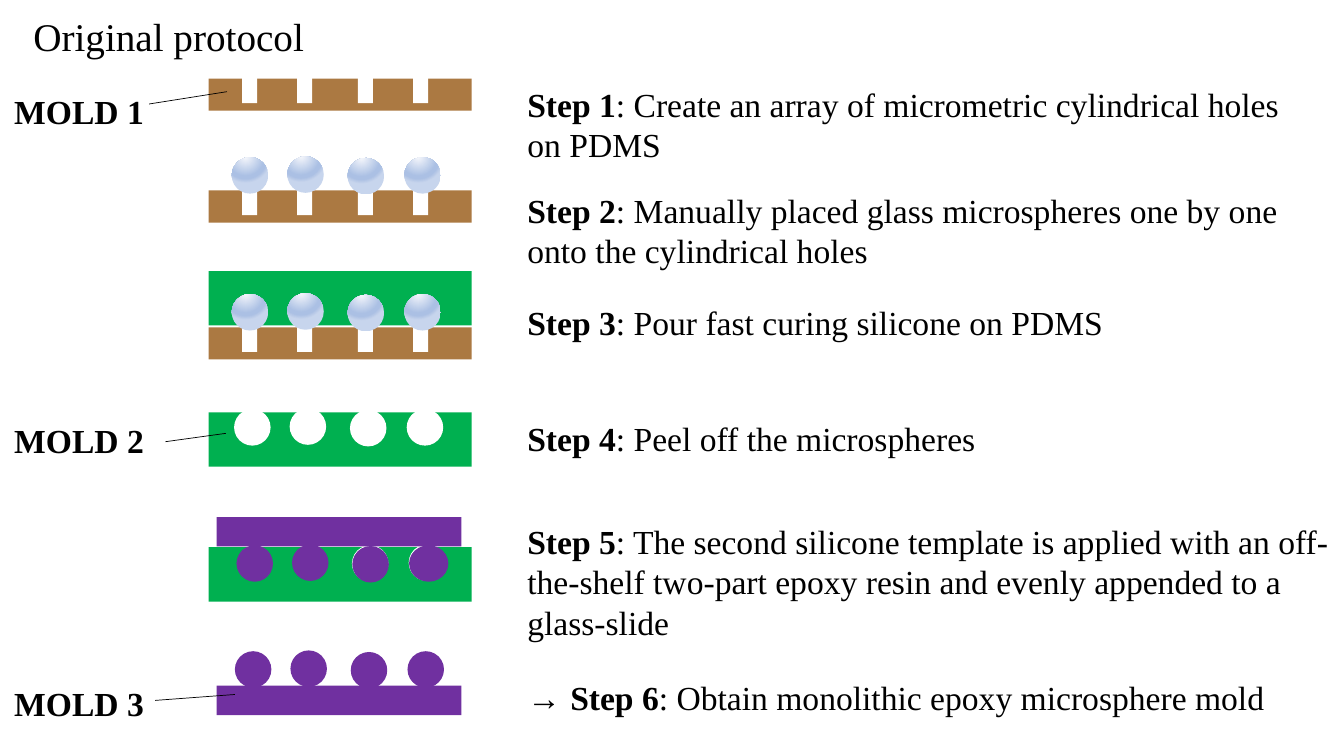
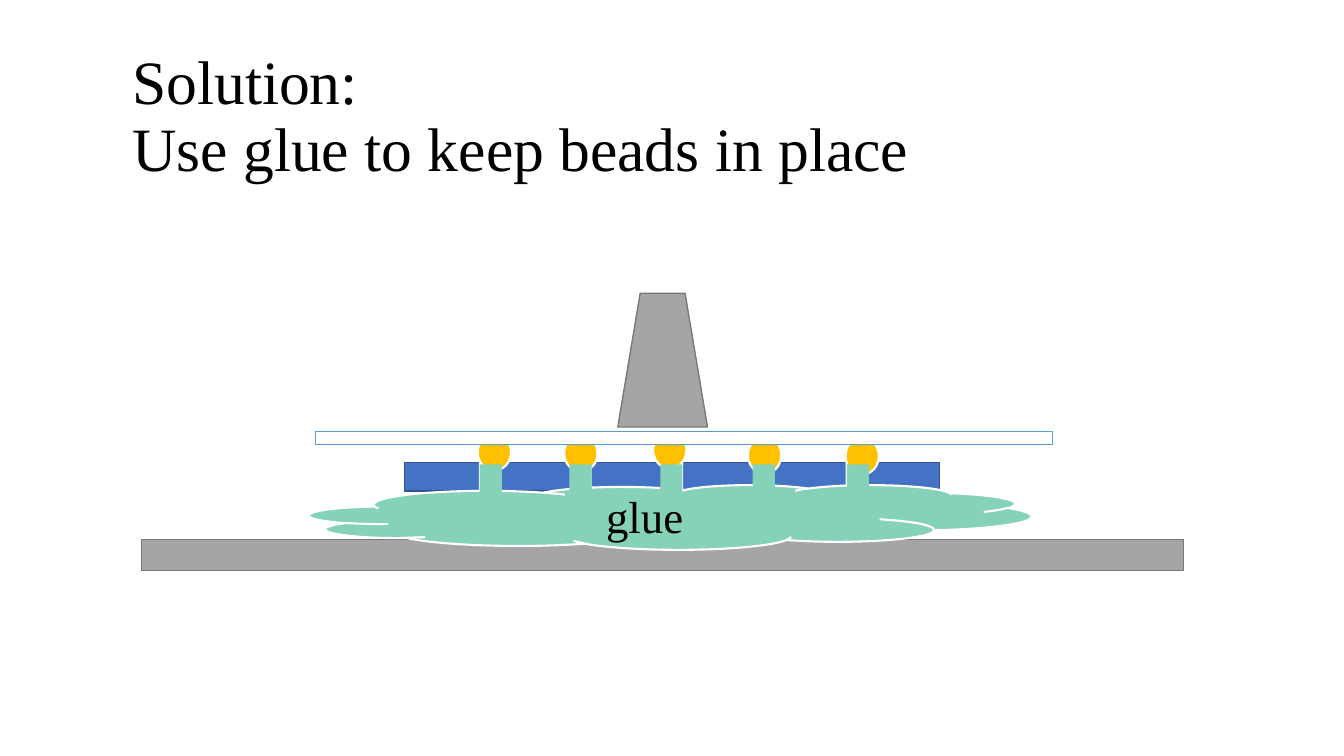
import pptx
import pptx.dml.color
import pptx.enum.shapes
import pptx.enum.text
import pptx.oxml
import pptx.oxml.ns
import pptx.util

Cm = pptx.util.Cm
Pt = pptx.util.Pt
SHAPE = pptx.enum.shapes.MSO_SHAPE
ANCHOR = pptx.enum.text.MSO_ANCHOR
ALIGN = pptx.enum.text.PP_ALIGN

FONT = "Times New Roman"
BLACK, WHITE = "000000", "FFFFFF"
PDMS, SILICONE, EPOXY = "AB7942", "00B050", "7030A0"
GREY, GREY_EDGE = "A5A5A5", "787878"
BLUE, BLUE_EDGE, GLASS_EDGE = "4472C4", "32538F", "5B9BD5"
BEAD, GLUE = "FFC000", "86D2B9"
GLASS_STOPS = [(0, "F6F8FC"), (74, "ABC0E4"), (83, "ABC0E4"), (100, "C7D5ED")]

SLIDE_W, SLIDE_H = 33.87, 19.05
INSET = 0.13

STEP_X, STEP_W = 13.16, SLIDE_W - 13.16
STEPS = [
    (1.98, 19.91, "", "Step 1", ": Create an array of micrometric cylindrical holes on PDMS"),
    (4.65, STEP_W, "", "Step 2", ": Manually placed glass microspheres one by one onto the cylindrical holes"),
    (7.49, STEP_W, "", "Step 3", ": Pour fast curing silicone on PDMS"),
    (10.39, STEP_W, "", "Step 4", ": Peel off the microspheres"),
    (13.0, STEP_W, "", "Step 5", ": The second silicone template is applied with an off-the-shelf "
     "two-part epoxy resin and evenly appended to a glass-slide"),
    (16.94, STEP_W, "→ ", "Step 6", ": Obtain monolithic epoxy microsphere mold"),
]
MOLDS = [
    ("MOLD 1", 2.16, (3.76, 2.62, 5.72, 2.31)),
    ("MOLD 2", 10.46, (4.17, 11.13, 5.69, 10.92)),
    ("MOLD 3", 17.09, (3.91, 17.65, 5.92, 17.5)),
]
SLAB_X, SLAB_W = 5.26, 6.63
HOLE_X = [6.1, 7.49, 9.02, 10.41]
BALLS = [(5.84, 0), (7.24, -0.02), (8.76, 0.02), (10.19, 0)]
BALL_D = 0.92

SLOT_X, SLOT_PITCH = 12.07, 2.31
BEADS = [(12.04, 10.92), (14.22, 10.95), (16.46, 10.87), (18.85, 11.0), (21.31, 11.02)]
COLUMN_X = [12.09, 14.35, 16.64, 18.97, 21.34]


def rgb(color):
    return pptx.dml.color.RGBColor.from_string(color)


def set_font(r, size, bold=False, name=FONT):
    r.font.size = Pt(size)
    r.font.name = name
    r.font.bold = bold
    r.font.color.rgb = rgb(BLACK)


def set_frame(tf, anchor=ANCHOR.TOP):
    tf.word_wrap = True
    tf.auto_size = pptx.enum.text.MSO_AUTO_SIZE.NONE
    tf.vertical_anchor = anchor
    tf.margin_left = tf.margin_right = tf.margin_top = tf.margin_bottom = Cm(INSET)


def add_titled_slide(prs, text, box, size, anchor, spacing):
    s = prs.slides.add_slide(prs.slide_layouts[5])
    sp = s.shapes.title
    sp.left, sp.top, sp.width, sp.height = map(Cm, box)
    tf = sp.text_frame
    tf.text = text
    set_frame(tf, anchor)
    for p in tf.paragraphs:
        p.alignment = ALIGN.LEFT
        p.line_spacing = spacing
        for r in p.runs:
            set_font(r, size)
    return s


def add_text(s, box, runs, size=24):
    tf = s.shapes.add_textbox(*map(Cm, box)).text_frame
    set_frame(tf)
    for text, bold, name in runs:
        r = tf.paragraphs[0].add_run()
        r.text = text
        set_font(r, size, bold, name)


def add_part(s, kind, x, y, w, h, fill, line=None, width=1):
    sp = s.shapes.add_shape(kind, Cm(x), Cm(y), Cm(w), Cm(h))
    sp.shadow.inherit = False
    sp.fill.solid()
    sp.fill.fore_color.rgb = rgb(fill)
    if line:
        sp.line.color.rgb = rgb(line)
        sp.line.width = Pt(width)
    else:
        sp.line.fill.background()
    return sp


def fill_glass(sp):
    stops = "".join(
        f'<a:gs pos="{pos * 1000}"><a:srgbClr val="{color}"/></a:gs>'
        for pos, color in GLASS_STOPS)
    grad = pptx.oxml.parse_xml(
        f'<a:gradFill {pptx.oxml.ns.nsdecls("a")} rotWithShape="1"><a:gsLst>{stops}</a:gsLst>'
        '<a:path path="circle"><a:fillToRect l="38000" t="-20000" r="62000" b="120000"/></a:path>'
        '</a:gradFill>')
    props = sp.element.spPr
    props.replace(props.find(pptx.oxml.ns.qn("a:solidFill")), grad)


def add_leader(s, ends):
    cx = s.shapes.add_connector(pptx.enum.shapes.MSO_CONNECTOR.STRAIGHT, *map(Cm, ends))
    cx.line.color.rgb = rgb(BLACK)
    cx.line.width = Pt(0.5)
    cx.element.spPr.append(pptx.oxml.parse_xml(f'<a:effectLst {pptx.oxml.ns.nsdecls("a")}/>'))


def add_pdms(s, y):
    add_part(s, SHAPE.RECTANGLE, SLAB_X, y, SLAB_W, 0.81, PDMS)
    for x in HOLE_X:
        add_part(s, SHAPE.RECTANGLE, x, y - 0.02, 0.38, 0.64, WHITE)


def add_silicone(s, y):
    add_part(s, SHAPE.RECTANGLE, SLAB_X, y, SLAB_W, 1.37, SILICONE)


def add_epoxy(s, y):
    add_part(s, SHAPE.RECTANGLE, 5.46, y, 6.17, 0.74, EPOXY)


def add_balls(s, y, fill, shift=0.0, balls=BALLS, last_w=BALL_D):
    widths = [BALL_D] * (len(balls) - 1) + [last_w]
    return [add_part(s, SHAPE.OVAL, x + shift, y + dy, w, BALL_D, fill)
            for (x, dy), w in zip(balls, widths)]


def add_glass_on_pdms(s, y):
    add_pdms(s, y)
    for sp in add_balls(s, y - 0.84, WHITE):
        fill_glass(sp)


def build_protocol(prs):
    s = add_titled_slide(prs, "Original protocol", (0.71, 0.18, 8, 1.35), 28, ANCHOR.TOP, 1.0)
    for y, w, arrow, name, text in STEPS:
        runs = [(arrow, False, "Arial")] if arrow else []
        add_text(s, (STEP_X, y, w, 1.2), runs + [(name, True, FONT), (text, False, FONT)])

    add_pdms(s, 1.98)
    add_glass_on_pdms(s, 4.8)
    add_silicone(s, 6.83)
    add_glass_on_pdms(s, 8.25)
    add_silicone(s, 10.39)
    add_balls(s, 10.31, WHITE, 0.06)
    add_silicone(s, 13.79)
    add_balls(s, 13.72, WHITE, 0.11, BALLS[2:])
    add_balls(s, 13.74, EPOXY, 0.12, last_w=0.99)
    add_epoxy(s, 13.03)
    add_balls(s, 16.41, EPOXY, 0.08)
    add_epoxy(s, 17.28)

    for name, y, ends in MOLDS:
        add_text(s, (0.23, y, 3.94, 1.17), [(name, True, FONT)])
        add_leader(s, ends)


def build_solution(prs):
    s = add_titled_slide(prs, "Solution:\nUse glue to keep beads in place",
                         (3.2, 1.14, 29.21, 3.68), 44, ANCHOR.MIDDLE, 0.9)
    add_part(s, SHAPE.RECTANGLE, 3.56, 13.59, 26.26, 0.79, GREY, GREY_EDGE)
    add_part(s, SHAPE.RECTANGLE, 10.19, 11.66, 13.49, 0.71, BLUE, BLUE_EDGE)
    for i in range(len(BEADS)):
        add_part(s, SHAPE.RECTANGLE, SLOT_X + i * SLOT_PITCH, 11.2, 0.53, 2.06, WHITE)
    for x, y in BEADS:
        add_part(s, SHAPE.OVAL, x, y, 0.84, 0.94, BEAD, WHITE, 1.5)

    cloud = add_part(s, SHAPE.CLOUD, 7.8, 12.22, 18.19, 1.63, GLUE, WHITE, 1.5)
    tf = cloud.text_frame
    tf.text = "glue"
    set_frame(tf, ANCHOR.MIDDLE)
    tf.paragraphs[0].alignment = ALIGN.CENTER
    set_font(tf.paragraphs[0].runs[0], 32)

    add_part(s, SHAPE.RECTANGLE, 7.95, 10.87, 18.57, 0.33, WHITE, GLASS_EDGE)
    add_part(s, SHAPE.TRAPEZOID, 15.57, 7.39, 2.26, 3.37, GREY, GREY_EDGE)
    for x in COLUMN_X:
        add_part(s, SHAPE.RECTANGLE, x, 11.7, 0.56, 0.84, GLUE)


def main():
    prs = pptx.Presentation()
    prs.slide_width, prs.slide_height = Cm(SLIDE_W), Cm(SLIDE_H)
    build_protocol(prs)
    build_solution(prs)
    prs.save("out.pptx")


if __name__ == "__main__":
    main()
